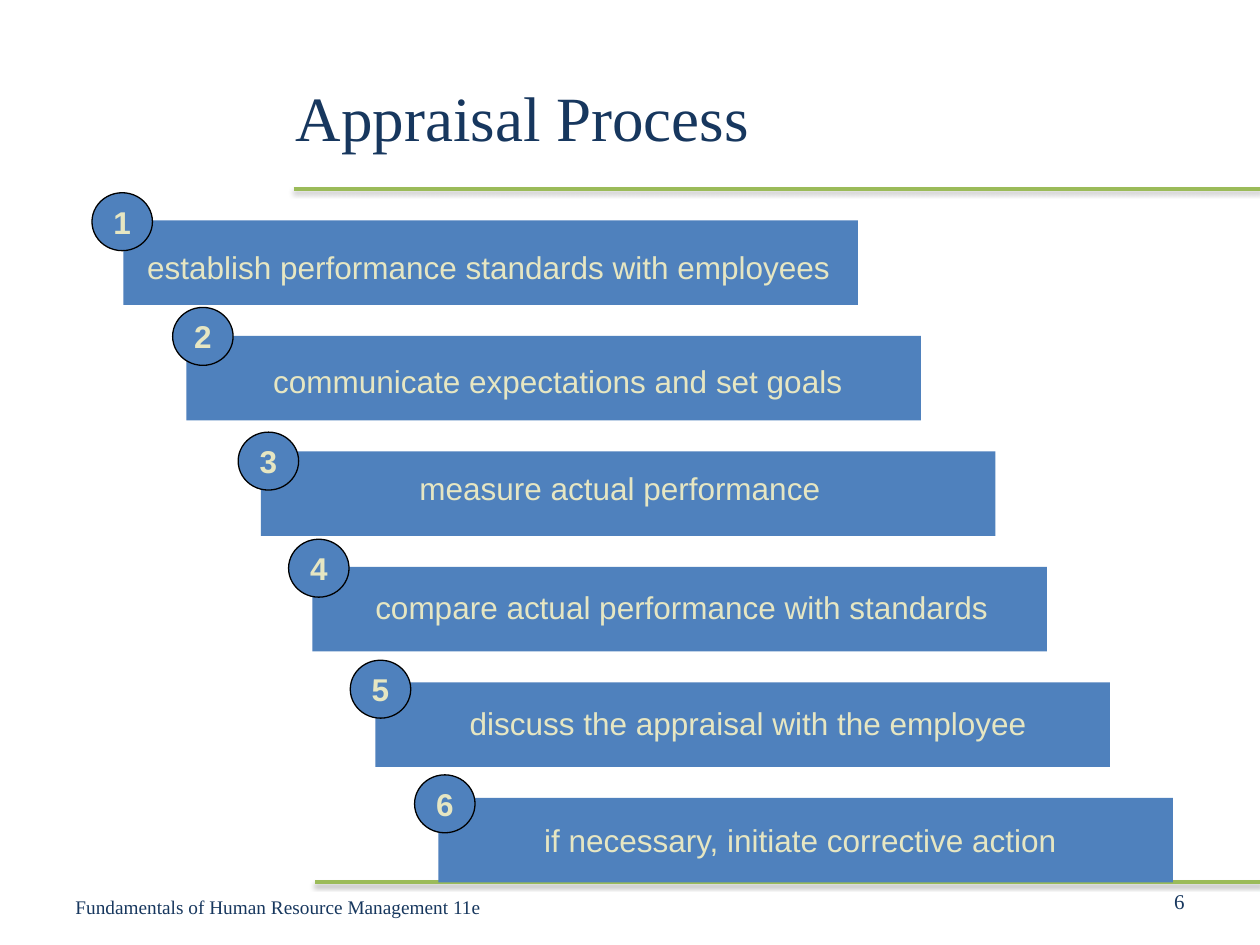
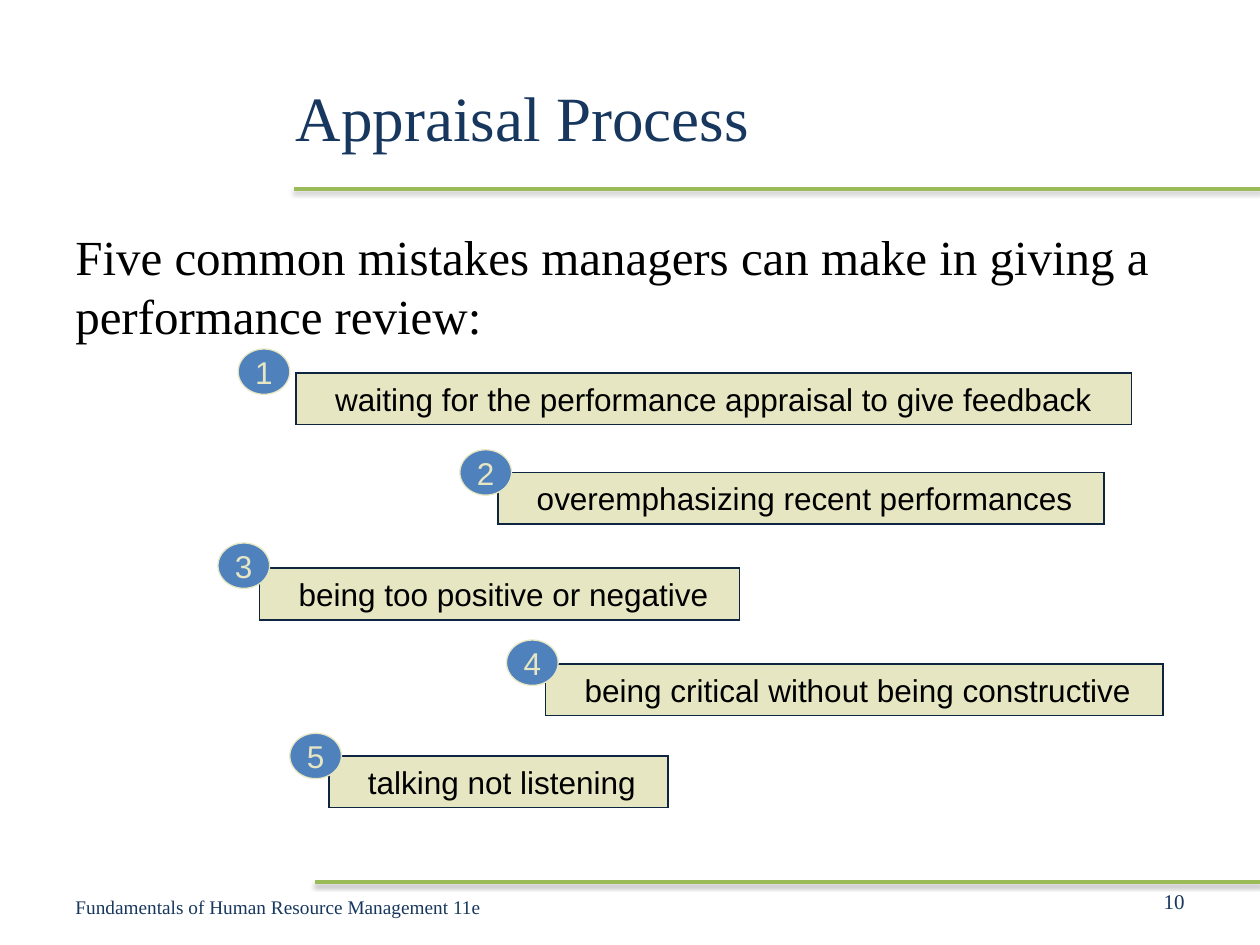
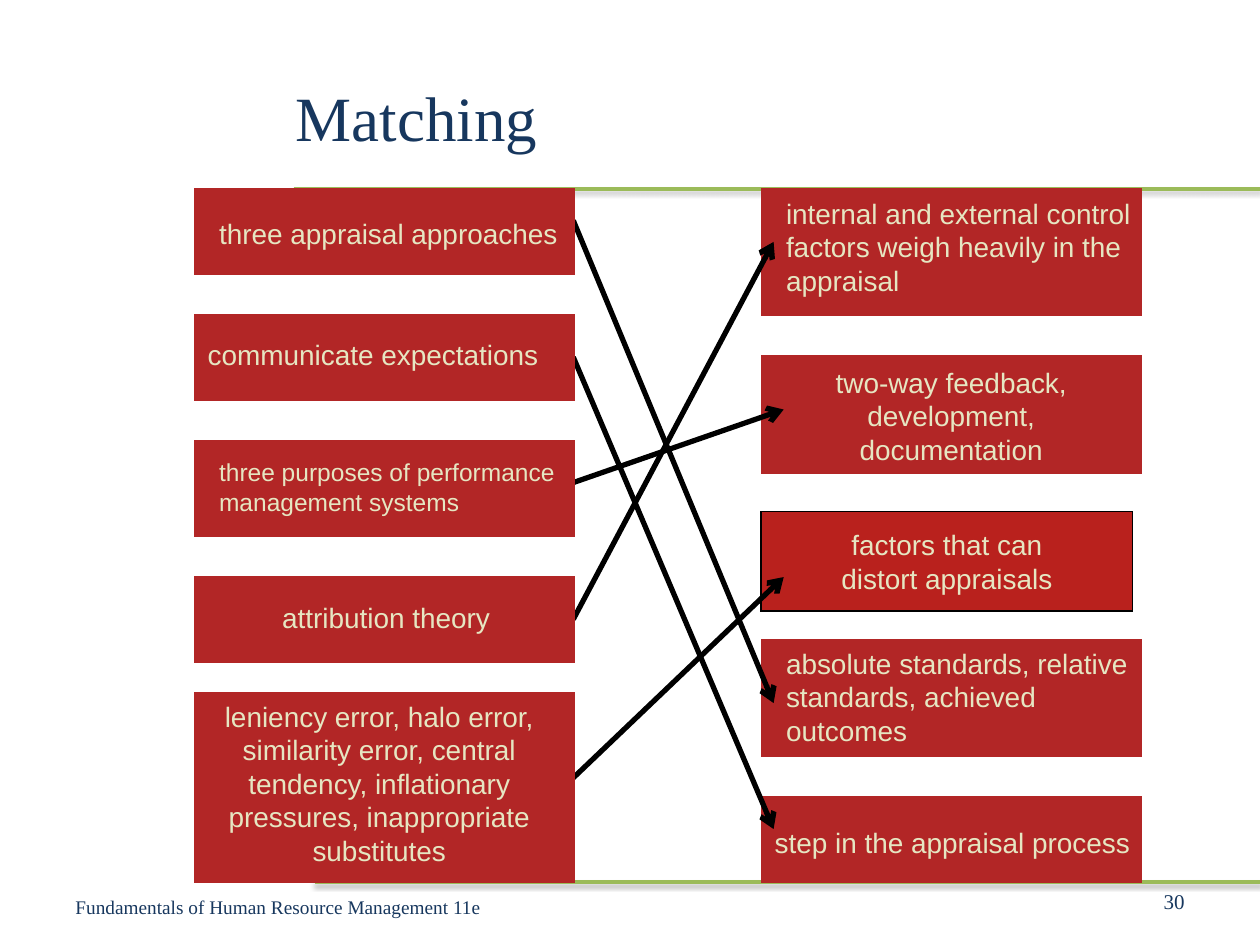
from dataclasses import dataclass

from lxml import etree
from pptx import Presentation
from pptx import util as u
from pptx.dml.color import RGBColor
from pptx.enum import shapes, text
from pptx.oxml import ns


@dataclass(frozen=True)
class Theme:
    # Colours
    navy: str = "17375E"
    ink: str = "0F243E"
    black: str = "000000"
    green: str = "9BBB59"
    blue: str = "4F81BD"
    cream: str = "E6E6C2"
    red: str = "B22626"
    bright_red: str = "B9211D"
    # Fonts and sizes
    serif: str = "Times New Roman"
    sans: str = "Arial"
    title: int = 36
    body: int = 28
    label: int = 18
    match: int = 16
    small: int = 14
    number: int = 12
    footer: int = 11


T = Theme()
LEFT, CENTER, RIGHT = text.PP_ALIGN.LEFT, text.PP_ALIGN.CENTER, text.PP_ALIGN.RIGHT
TOP, MIDDLE = text.MSO_ANCHOR.TOP, text.MSO_ANCHOR.MIDDLE
RECT, OVAL = shapes.MSO_SHAPE.RECTANGLE, shapes.MSO_SHAPE.OVAL


def rgb(value):
    return RGBColor.from_string(value)


def write(sp, content, size=T.label, font=T.sans, color=T.cream, bold=False,
          align=LEFT, anchor=TOP, wrap=True, inset=0.1):
    """Fill a shape with text; each line of content is a paragraph."""
    tf = sp.text_frame
    tf.word_wrap = wrap
    tf.vertical_anchor = anchor
    tf.margin_left = u.Inches(inset)
    for i, line in enumerate(content.split("\n")):
        p = tf.add_paragraph() if i else tf.paragraphs[0]
        p.alignment = align
        r = p.add_run()
        r.text = line
        r.font.size, r.font.name, r.font.bold = u.Pt(size), font, bold
        r.font.color.rgb = rgb(color)
    return sp


def add_text(s, box, content, **fmt):
    return write(s.shapes.add_textbox(*map(u.Inches, box)), content, **fmt)


def add_shape(s, kind, box, fill, line=None, width=0.75):
    sp = s.shapes.add_shape(kind, *map(u.Inches, box))
    sp.shadow.inherit = False
    sp.fill.solid()
    sp.fill.fore_color.rgb = rgb(fill)
    if line:
        sp.line.color.rgb = rgb(line)
        sp.line.width = u.Pt(width)
        # Square outline corners
        etree.SubElement(sp.element.spPr.get_or_add_ln(), ns.qn("a:miter"), lim="800000")
    else:
        sp.line.fill.background()
    return sp


def add_line(s, start, end, color, width):
    """Draw a straight line and return it with its empty effect list."""
    cx = s.shapes.add_connector(shapes.MSO_CONNECTOR.STRAIGHT,
                                *map(u.Inches, start + end))
    cx.line.color.rgb = rgb(color)
    cx.line.width = u.Pt(width)
    effects = etree.SubElement(cx.element.spPr, ns.qn("a:effectLst"))
    return cx, effects


def add_rule(s, x, y):
    """Green rule with a soft shadow, running to the right edge."""
    _, effects = add_line(s, (x, y), (10, y), T.green, 2)
    shadow = etree.SubElement(effects, ns.qn("a:outerShdw"), blurRad=str(u.Pt(3.1)),
                              dist=str(u.Pt(1.6)), dir="5400000", rotWithShape="0")
    color = etree.SubElement(shadow, ns.qn("a:srgbClr"), val=T.black)
    etree.SubElement(color, ns.qn("a:alpha"), val="38000")


def add_arrow(s, start, end):
    cx, _ = add_line(s, start, end, T.black, 3)
    etree.SubElement(cx.element.spPr.get_or_add_ln(), ns.qn("a:tailEnd"), type="arrow")
    return cx


def add_badge(s, box, number, line, bold=False):
    sp = add_shape(s, OVAL, box, T.blue, line)
    write(sp, str(number), bold=bold, align=CENTER, anchor=MIDDLE, wrap=False)


def new_slide(prs, title, number):
    """Slide with the shared rules, title, footer and page number."""
    s = prs.slides.add_slide(prs.slide_layouts[6])
    add_rule(s, 2.33, 1.5)
    add_rule(s, 2.5, 7)
    serif = dict(font=T.serif, color=T.navy, anchor=MIDDLE)
    add_text(s, (2.25, 0.3, 7.25, 1.25), title, size=T.title, **serif)
    add_text(s, (0.5, 7, 3.75, 0.4), "Fundamentals of Human Resource Management 11e",
             size=T.footer, **serif)
    add_text(s, (7.17, 6.95, 2.33, 0.4), str(number), size=T.number, align=RIGHT, **serif)
    return s


# Slide 1: staircase of steps
def step_bar(s, box, label, dx, dy, width):
    x, y = box[:2]
    add_shape(s, RECT, box, T.blue)
    add_text(s, (x + dx, y + dy, width, 0.4), label, wrap=False)


def process_slide(prs):
    s = new_slide(prs, "Appraisal Process", 6)
    # Bar left, label, label offset and width, badge position
    steps = [
        (0.98, "establish performance standards with employees", 0.09, 0.17, 5.7, 0.73, 1.53),
        (1.48, "communicate expectations and set goals", 0.59, 0.16, 4.8, 1.37, 2.44),
        (2.07, "measure actual performance", 1.16, 0.09, 3.45, 1.89, 3.43),
        (2.48, "compare actual performance with standards", 0.4, 0.12, 5.15, 2.29, 4.28),
        (2.98, "discuss the appraisal with the employee", 0.65, 0.12, 4.7, 2.78, 5.24),
        (3.48, "if necessary, initiate corrective action", 0.74, 0.13, 4.35, 3.29, 6.15),
    ]
    pitch = 5.5 / 6
    for i, (x, label, dx, dy, width, bx, by) in enumerate(steps):
        step_bar(s, (x, 1.75 + i * pitch, 5.83, 0.67), label, dx, dy, width)
        add_badge(s, (bx, by, 0.48, 0.46), i + 1, T.black, bold=True)


# Slide 2: numbered mistakes
def mistake(s, box, number, label, badge_dx, badge_dy):
    x, y = box[:2]
    sp = add_shape(s, RECT, box, T.cream, T.ink, 1)
    write(sp, label, color=T.black, anchor=MIDDLE, wrap=False, inset=0.31)
    add_badge(s, (x + badge_dx, y + badge_dy, 0.41, 0.36), number, T.cream)


def mistakes_slide(prs):
    s = new_slide(prs, "Appraisal Process", 10)
    add_text(s, (0.5, 1.75, 9, 1.1),
             "Five common mistakes managers can make in giving a performance review:",
             size=T.body, font=T.serif, color=T.black)
    # Left, top, width, label, badge offset
    mistakes = [
        (2.35, 2.96, 6.63, "waiting for the performance appraisal to give feedback", -0.46, -0.19),
        (3.95, 3.75, 4.81, "overemphasizing recent performances", -0.3, -0.18),
        (2.06, 4.51, 3.81, "being too positive or negative", -0.33, -0.2),
        (4.33, 5.27, 4.9, "being critical without being constructive", -0.31, -0.19),
        (2.61, 6, 2.69, "talking not listening", -0.31, -0.18),
    ]
    for i, (x, y, width, label, dx, dy) in enumerate(mistakes, 1):
        mistake(s, (x, y, width, 0.41), i, label, dx, dy)


# Slide 3: two matched columns
def match_box(s, box, label, area, **fmt):
    """Red panel with a label; area is the label box relative to the panel."""
    x, y = box[:2]
    dx, dy, width, height = area
    sp = add_shape(s, RECT, box, T.red, T.red, 1.5)
    add_text(s, (x + dx, y + dy, width, height), label, **{"size": T.match, **fmt})
    return sp


def matching_slide(prs):
    s = new_slide(prs, "Matching", 30)
    one_line, centered = dict(wrap=False), dict(align=CENTER)
    left_x, right_x, width = 1.55, 6.05, 3

    # Right column: top, height, label, label area, format
    sp = add_shape(s, RECT, (6.04, 4.06, 2.95, 0.79), T.bright_red, T.black)
    write(sp, "factors that can\ndistort appraisals", size=T.match, align=CENTER,
          anchor=MIDDLE, wrap=False)
    answers = [
        (1.5, 1, "internal and external control factors weigh heavily in the appraisal",
         (0.09, 0.01, 3, 0.9), {}),
        (2.83, 0.92, "two-way feedback, development, documentation",
         (0, 0.02, 3, 0.9), centered),
        (5.08, 0.92, "absolute standards, relative standards, achieved outcomes",
         (0.09, 0, 2.93, 0.9), {}),
        (6.33, 0.67, "step in the appraisal process", (0, 0.17, 3.1, 0.37), one_line),
    ]
    for y, height, label, area, fmt in answers:
        match_box(s, (right_x, y, width, height), label, area, **fmt)

    # Left column: the same, then arrow start, arrow end, joined to the side
    terms = [
        (1.5, 0.67, "three appraisal approaches", (0.09, 0.17, 2.95, 0.37), one_line,
         (4.55, 1.75), (6.14, 5.58), False),
        (2.5, 0.67, "communicate expectations", (0, 0.13, 2.9, 0.37), one_line,
         (4.55, 2.83), (6.14, 6.58), True),
        (3.5, 0.75, "three purposes of performance management systems",
         (0.09, 0.08, 2.92, 0.57), dict(size=T.small),
         (4.55, 3.83), (6.22, 3.25), False),
        (4.58, 0.67, "attribution theory", (0.59, 0.14, 1.95, 0.37), one_line,
         (4.55, 4.92), (6.14, 1.92), True),
        (5.5, 1.5, "leniency error, halo error, similarity error, central tendency, "
         "inflationary pressures, inappropriate substitutes",
         (0, 0, 2.92, 1.44), centered, (4.47, 6.25), (6.22, 4.58), False),
    ]
    for y, height, label, area, fmt, start, end, joined in terms:
        cx = add_arrow(s, start, end)
        sp = match_box(s, (left_x, y, width, height), label, area, **fmt)
        if joined:
            cx.begin_connect(sp, 3)


def main():
    prs = Presentation()
    prs.slide_width, prs.slide_height = u.Inches(10), u.Inches(7.5)
    process_slide(prs)
    mistakes_slide(prs)
    matching_slide(prs)
    prs.save("out.pptx")


if __name__ == "__main__":
    main()
